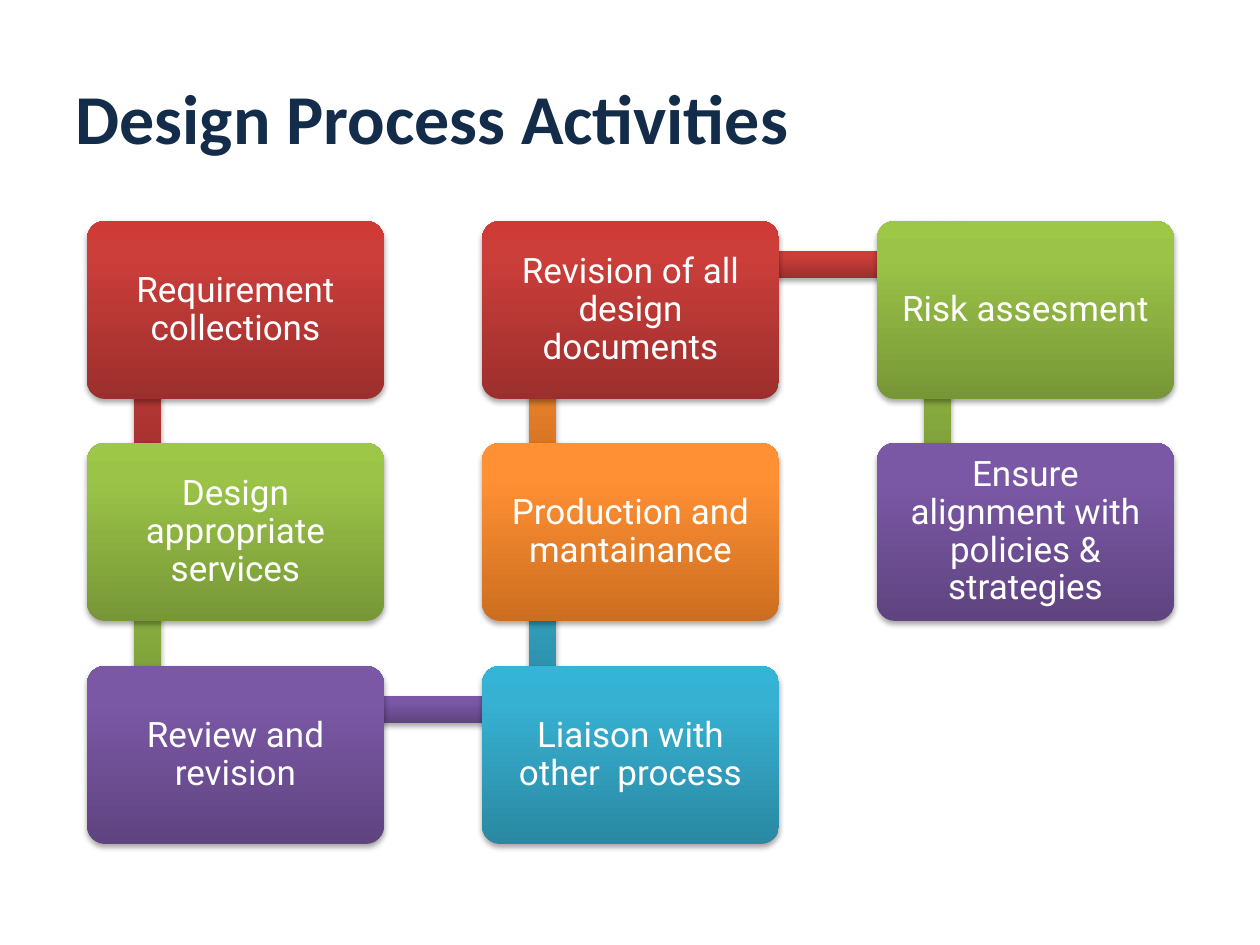
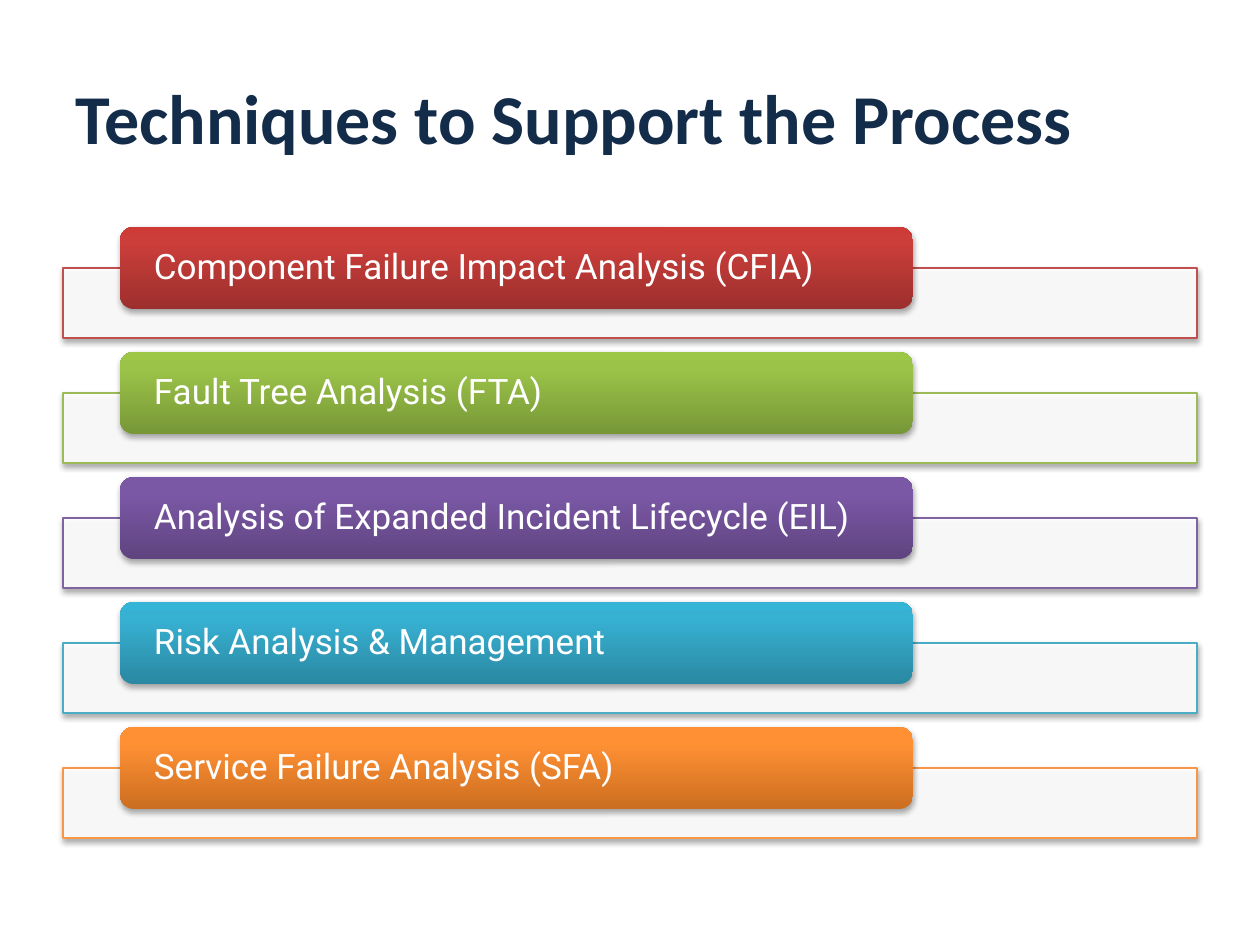
import copy

from lxml import etree
from pptx import Presentation
from pptx import util as u
from pptx.dml.color import RGBColor
from pptx.enum import shapes, text
from pptx.oxml.ns import qn

ACTIVITIES_TITLE = "Design Process Activities"
ACTIVITIES = [
    "Requirement collections",
    "Design appropriate services",
    "Review and revision",
    "Liaison with other  process",
    "Production and mantainance",
    "Revision of all design documents",
    "Risk assesment",
    "Ensure alignment with policies & strategies",
]
TECHNIQUES_TITLE = "Techniques to Support the Process"
TECHNIQUES = [
    "Component Failure Impact Analysis (CFIA)",
    "Fault Tree Analysis (FTA)",
    "Analysis of Expanded Incident Lifecycle (EIL)",
    "Risk Analysis & Management",
    "Service Failure Analysis (SFA)",
]

NAVY = RGBColor(0x13, 0x2C, 0x4A)
WHITE = RGBColor(0xFF, 0xFF, 0xFF)
RED = RGBColor(0xC0, 0x50, 0x4D)
GREEN = RGBColor(0x9B, 0xBB, 0x59)
PURPLE = RGBColor(0x80, 0x64, 0xA2)
AQUA = RGBColor(0x4B, 0xAC, 0xC6)
ORANGE = RGBColor(0xF7, 0x96, 0x46)
ACCENTS = [RED, GREEN, PURPLE, AQUA, ORANGE]
STOP_POSITIONS = (0, 0.8, 1)
GRADIENTS = {
    RED: (RGBColor(0x9C, 0x2F, 0x2D), RGBColor(0xCB, 0x3E, 0x3A), RGBColor(0xCE, 0x3B, 0x37)),
    GREEN: (RGBColor(0x77, 0x97, 0x37), RGBColor(0x9B, 0xC3, 0x48), RGBColor(0x9D, 0xC7, 0x46)),
    PURPLE: (RGBColor(0x5F, 0x44, 0x80), RGBColor(0x7B, 0x58, 0xA6), RGBColor(0x7C, 0x57, 0xA8)),
    AQUA: (RGBColor(0x2A, 0x88, 0xA2), RGBColor(0x37, 0xB1, 0xD2), RGBColor(0x34, 0xB4, 0xD6)),
    ORANGE: (RGBColor(0xCC, 0x6E, 0x20), RGBColor(0xFF, 0x90, 0x34), RGBColor(0xFF, 0x91, 0x36)),
}

TITLE_FONT = "Calibri"
BODY_FONT = "Roboto"
RECT = shapes.MSO_SHAPE.RECTANGLE
ROUNDED = shapes.MSO_SHAPE.ROUNDED_RECTANGLE

BOX_LEFT, BOX_TOP, BOX_WIDTH, BOX_HEIGHT = 87, 221, 297, 178
COLUMN_PITCH, TWO_ROWS, ROWS = 395, 445, 3
LINK = 27
FRAME_LEFT, FRAME_TOP, FRAME_WIDTH, FRAME_HEIGHT = 63, 268, 1134, 70
LABEL_LEFT, LABEL_TOP, LABEL_WIDTH, LABEL_HEIGHT = 120, 227, 793, 82
TECHNIQUE_PITCH = 125


def px(length):
    return u.Emu(round(length * 914400 / 126))


def add_page(deck, title):
    page = deck.slides.add_slide(deck.slide_layouts[5])
    box = page.shapes.title
    box.left, box.top, box.width, box.height = map(px, (63, 38, 1134, 158))
    frame = box.text_frame
    frame.text = title
    frame.word_wrap = True
    frame.auto_size = text.MSO_AUTO_SIZE.NONE
    frame.vertical_anchor = text.MSO_ANCHOR.MIDDLE
    para = frame.paragraphs[0]
    para.alignment = text.PP_ALIGN.LEFT
    style_span(para.runs[0], TITLE_FONT, 40, NAVY, True)
    return page


def style_span(span, name, size, color, bold=False):
    span.font.name = name
    span.font.size = u.Pt(size)
    span.font.color.rgb = color
    span.font.bold = bold


def add_block(page, kind, left, top, width, height):
    block = page.shapes.add_shape(kind, *map(px, (left, top, width, height)))
    block.line.fill.background()
    block.shadow.inherit = False
    effects = block._element.spPr.find(qn("a:effectLst"))
    shadow = etree.SubElement(effects, qn("a:outerShdw"), blurRad="40000",
                              dist="23000", dir="5400000", rotWithShape="0")
    color = etree.SubElement(shadow, qn("a:srgbClr"), val="000000")
    etree.SubElement(color, qn("a:alpha"), val="35000")
    return block


def fill_gradient(block, accent):
    block.fill.gradient()
    block.fill.gradient_angle = 90
    stops = block._element.spPr.find(qn("a:gradFill")).find(qn("a:gsLst"))
    stops.append(copy.deepcopy(stops[0]))
    for stop, position, color in zip(block.fill.gradient_stops, STOP_POSITIONS, GRADIENTS[accent]):
        stop.position = position
        stop.color.rgb = color


def write_label(block, label, alignment, side, edge):
    frame = block.text_frame
    frame.text = label
    frame.word_wrap = True
    frame.vertical_anchor = text.MSO_ANCHOR.MIDDLE
    frame.margin_left = frame.margin_right = px(side)
    frame.margin_top = frame.margin_bottom = px(edge)
    para = frame.paragraphs[0]
    para.alignment = alignment
    para.line_spacing = 0.9
    style_span(para.runs[0], BODY_FONT, 20, WHITE)


def activity_place(index):
    column, row = divmod(index, ROWS)
    if column % 2:
        row = ROWS - 1 - row
    return BOX_LEFT + column * COLUMN_PITCH, BOX_TOP + row * TWO_ROWS // 2


def add_link(page, start, end, accent):
    left, top = min(start[0], end[0]), min(start[1], end[1])
    if start[0] == end[0]:
        place = (left + 47, top + 44, LINK, abs(end[1] - start[1]))
    else:
        place = (left + 60, top + 30, end[0] - start[0], LINK)
    fill_gradient(add_block(page, RECT, *place), accent)


def build_activities(deck):
    page = add_page(deck, ACTIVITIES_TITLE)
    for index, label in enumerate(ACTIVITIES):
        accent = ACCENTS[index % len(ACCENTS)]
        place = activity_place(index)
        if index + 1 < len(ACTIVITIES):
            add_link(page, place, activity_place(index + 1), accent)
        box = add_block(page, ROUNDED, *place, BOX_WIDTH, BOX_HEIGHT)
        box.adjustments[0] = 0.1
        fill_gradient(box, accent)
        write_label(box, label, text.PP_ALIGN.CENTER, 10, 10)


def build_techniques(deck):
    page = add_page(deck, TECHNIQUES_TITLE)
    for index, (label, accent) in enumerate(zip(TECHNIQUES, ACCENTS)):
        drop = index * TECHNIQUE_PITCH
        frame = add_block(page, RECT, FRAME_LEFT, FRAME_TOP + drop, FRAME_WIDTH, FRAME_HEIGHT)
        frame.fill.solid()
        frame.fill.fore_color.rgb = WHITE
        color = frame._element.spPr.find(qn("a:solidFill"))[0]
        etree.SubElement(color, qn("a:alpha"), val="90000")
        frame.line.color.rgb = accent
        frame.line.width = u.Pt(0.75)
        box = add_block(page, ROUNDED, LABEL_LEFT, LABEL_TOP + drop, LABEL_WIDTH, LABEL_HEIGHT)
        fill_gradient(box, accent)
        write_label(box, label, text.PP_ALIGN.LEFT, 30, 0)


def main():
    deck = Presentation()
    deck.slide_width, deck.slide_height = px(1260), px(945)
    build_activities(deck)
    build_techniques(deck)
    deck.save("out.pptx")


if __name__ == "__main__":
    main()
